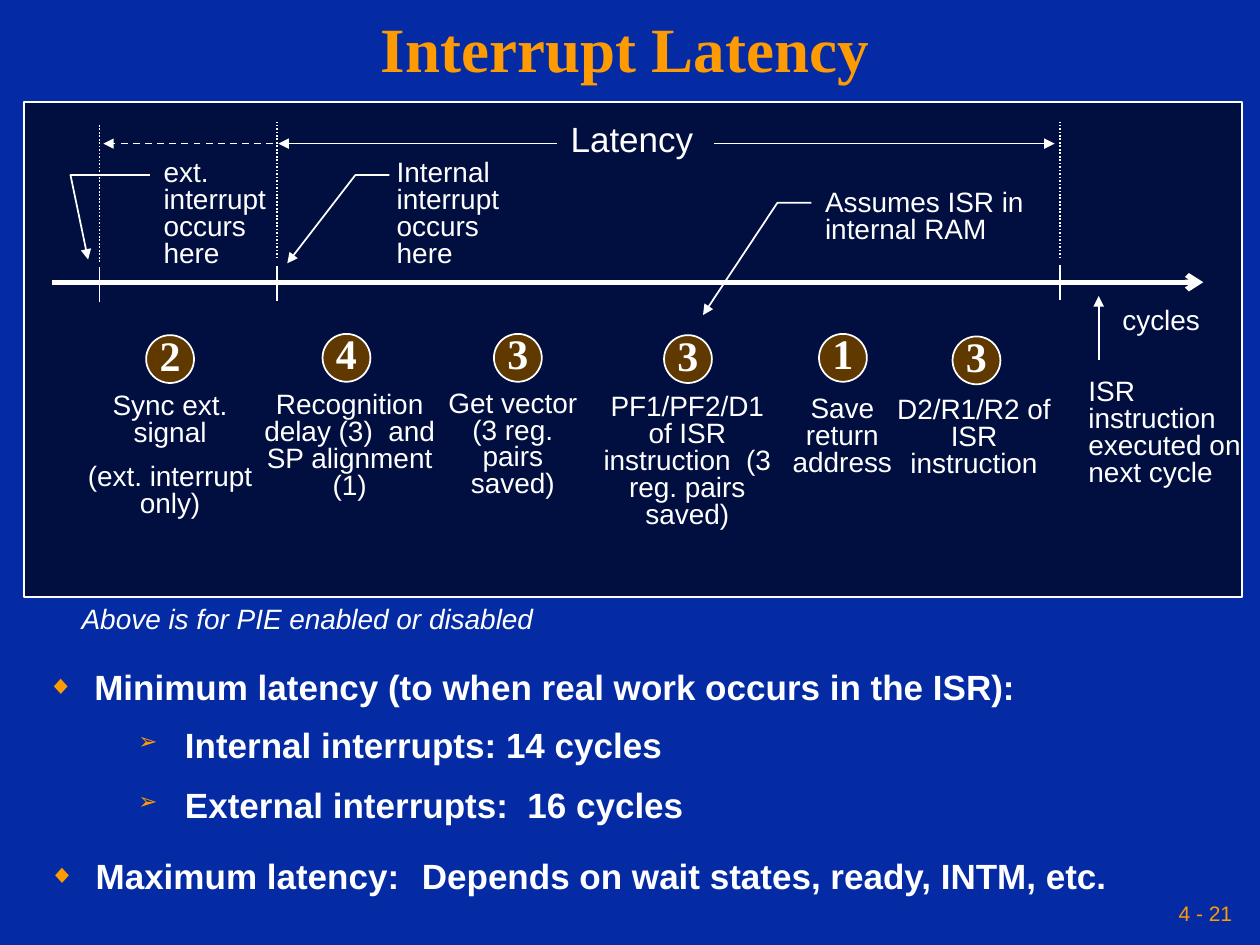
from dataclasses import dataclass

from lxml.etree import SubElement
from pptx import Presentation
from pptx.dml.color import RGBColor
from pptx.enum.dml import MSO_LINE
from pptx.enum.shapes import MSO_CONNECTOR, MSO_SHAPE
from pptx.enum.text import MSO_ANCHOR, MSO_AUTO_SIZE, PP_ALIGN
from pptx.oxml.ns import qn
from pptx.util import Inches, Pt

BLUE = "042AA4"
NAVY = "000F40"
BROWN = "603900"
GOLD = "FE9B03"
WHITE = "FFFFFF"
SANS = "Arial"
SERIF = "Times New Roman"


@dataclass
class Style:
    size: float = 16
    font: str = SANS
    color: str = WHITE
    bold: bool = False
    italic: bool = False
    align: PP_ALIGN = PP_ALIGN.LEFT
    space: float = 0.8


@dataclass
class Label:
    box: tuple
    text: str
    style: Style
    wrap: bool = True


@dataclass
class Step:
    count: str
    dot: tuple
    box: tuple
    lines: tuple


@dataclass
class Ray:
    start: tuple
    end: tuple
    width: float = 1
    tip: str = ""
    dash: MSO_LINE | None = None


@dataclass
class Bullet:
    box: tuple
    text: str
    mark: str
    percent: int
    space: float


NOTE = Style()
MID = Style(align=PP_ALIGN.CENTER)
BIG = Style(size=20)
COUNT = Style(24, SERIF, bold=True, align=PP_ALIGN.CENTER)
HEAD = Style(36, SERIF, GOLD, True, align=PP_ALIGN.CENTER, space=0.9)
PAGE = Style(12, color=GOLD, align=PP_ALIGN.RIGHT, space=1)
STRONG = Style(20, bold=True)

LABELS = [
    Label((4.43, 0.95, 1.22, 0.37), "Latency", BIG, False),
    Label((1.2, 1.23, 1.03, 0.96), "ext. interrupt occurs here", NOTE),
    Label((3.05, 1.23, 1.08, 0.96), "Internal interrupt occurs here", NOTE),
    Label((6.45, 1.47, 1.9, 0.53), "Assumes ISR in internal RAM", NOTE),
    Label((8.81, 2.4, 0.86, 0.32), "cycles", NOTE, False),
    Label((8.54, 2.97, 1.41, 0.96), "ISR instruction executed on next cycle", NOTE),
    Label((0.55, 4.78, 3.83, 0.32), "Above is for PIE enabled or disabled", Style(italic=True), False),
    Label((3.25, 6.8, 5.7, 0.37), "Depends on wait states, ready, INTM, etc.", STRONG, False),
]
STEPS = [
    Step("2", (1.16, 2.66), (0.57, 3.08, 1.56, 1.1), ("Sync ext. signal", "(ext. interrupt only)")),
    Step("4", (2.56, 2.65), (1.99, 3.07, 1.57, 0.96), ("Recognition delay (3)  and SP alignment (1)",)),
    Step("3", (3.92, 2.65), (3.43, 3.06, 1.28, 0.96), ("Get vector (3 reg. pairs saved)",)),
    Step("3", (5.27, 2.66), (4.69, 3.09, 1.53, 1.17), ("PF1/PF2/D1 of ISR instruction  (3 reg. pairs saved)",)),
    Step("1", (6.5, 2.65), (6.19, 3.1, 0.99, 0.74), ("Save return address",)),
    Step("3", (7.56, 2.67), (6.99, 3.11, 1.48, 0.74), ("D2/R1/R2 of ISR instruction",)),
]
RAYS = [
    Ray((0.41, 2.24), (9.55, 2.24), 3, "arrow"),
    Ray((4.42, 1.14), (2.21, 1.14), tip="triangle"),
    Ray((5.67, 1.14), (8.37, 1.14), tip="triangle"),
    Ray((2.17, 1.14), (0.82, 1.14), tip="triangle", dash=MSO_LINE.DASH),
    Ray((8.72, 2.86), (8.72, 2.35), tip="triangle"),
]
MARKS = [(0.79, 0.99, 2.08, 2.12), (2.2, 0.97, 2.05, 2.11), (8.41, 0.97, 2.05, 2.1)]
BENDS = [
    ((1.19, 1.39), (0.56, 1.39), (0.7, 2.06)),
    ((3.09, 1.39), (2.82, 1.39), (2.28, 2.09)),
    ((6.44, 1.61), (6.17, 1.61), (5.58, 2.5)),
]
BULLETS = [
    Bullet((0.28, 5.3, 8.04, 0.37), "Minimum latency (to when real work occurs in the ISR):", "◆", 75, 0.8),
    Bullet((1, 5.84, 4.36, 0.27), "Internal interrupts: 14 cycles", "➢", 65, 0.5),
    Bullet((1, 6.31, 4.53, 0.27), "External interrupts:  16 cycles", "➢", 65, 0.5),
    Bullet((0.29, 6.8, 2.98, 0.37), "Maximum latency:", "◆", 75, 0.8),
]


def paint(part, color: str) -> None:
    part.solid()
    part.fore_color.rgb = RGBColor.from_string(color)


def write(frame, lines: tuple, style: Style, wrap: bool = True, side: float = 0.1) -> None:
    frame.word_wrap = wrap
    frame.margin_left = frame.margin_right = Inches(side)
    frame.margin_top = frame.margin_bottom = Inches(0.05)
    for i, line in enumerate(lines):
        para = frame.add_paragraph() if i else frame.paragraphs[0]
        para.alignment = style.align
        para.line_spacing = style.space
        para.space_before = Pt(10 if i else 0)
        run = para.add_run()
        run.text = line
        font = run.font
        font.size, font.name = Pt(style.size), style.font
        font.bold, font.italic = style.bold, style.italic
        paint(font.fill, style.color)


def add_label(slide, label: Label, side: float = 0.1):
    box = slide.shapes.add_textbox(*map(Inches, label.box))
    write(box.text_frame, (label.text,), label.style, label.wrap, side)
    if not label.wrap:
        box.text_frame.auto_size = MSO_AUTO_SIZE.SHAPE_TO_FIT_TEXT
    return box


def add_block(slide, kind: MSO_SHAPE, box: tuple, color: str):
    block = slide.shapes.add_shape(kind, *map(Inches, box))
    block.shadow.inherit = False
    paint(block.fill, color)
    trace(block.line)
    return block


def trace(line, width: float = 1, tip: str = "", dash: MSO_LINE | None = None) -> None:
    paint(line.fill, WHITE)
    line.width = Pt(width)
    if dash:
        line.dash_style = dash
    if tip:
        SubElement(line.fill._xPr, qn("a:tailEnd"), type=tip)


def add_ray(slide, ray: Ray) -> None:
    ends = map(Inches, ray.start + ray.end)
    link = slide.shapes.add_connector(MSO_CONNECTOR.STRAIGHT, *ends)
    trace(link.line, ray.width, ray.tip, ray.dash)
    SubElement(link._element.spPr, qn("a:effectLst"))


def add_bend(slide, points: tuple) -> None:
    first, *rest = [tuple(map(Inches, point)) for point in points]
    build = slide.shapes.build_freeform(*first)
    build.add_line_segments(rest, close=False)
    bend = build.convert_to_shape()
    bend.shadow.inherit = False
    bend.fill.background()
    trace(bend.line, tip="triangle")


def add_step(slide, step: Step) -> None:
    dot = add_block(slide, MSO_SHAPE.OVAL, step.dot + (0.38, 0.38), BROWN)
    dot.text_frame.vertical_anchor = MSO_ANCHOR.MIDDLE
    write(dot.text_frame, (step.count,), COUNT, False)
    box = slide.shapes.add_textbox(*map(Inches, step.box))
    write(box.text_frame, step.lines, MID)


def add_bullet(slide, item: Bullet) -> None:
    style = Style(20, bold=True, space=item.space)
    box = add_label(slide, Label(item.box, item.text, style, False))
    props = box.text_frame.paragraphs[0]._p.get_or_add_pPr()
    props.set("marL", str(Inches(0.37)))
    props.set("indent", str(-Inches(0.37)))
    tint = SubElement(props, qn("a:buClr"))
    SubElement(tint, qn("a:srgbClr"), val=GOLD)
    SubElement(props, qn("a:buSzPct"), val=str(item.percent * 1000))
    SubElement(props, qn("a:buFont"), typeface=SANS)
    SubElement(props, qn("a:buChar"), char=item.mark)


def main() -> None:
    deck = Presentation()
    deck.slide_width, deck.slide_height = Inches(10), Inches(7.5)
    slide = deck.slides.add_slide(deck.slide_layouts[5])
    paint(slide.background.fill, BLUE)
    title = slide.shapes.title
    title.left, title.top, title.width, title.height = map(Inches, (0, 0, 9.92, 0.83))
    title.text_frame.vertical_anchor = MSO_ANCHOR.MIDDLE
    write(title.text_frame, ("Interrupt Latency",), HEAD, side=0.05)
    add_block(slide, MSO_SHAPE.RECTANGLE, (0.19, 0.81, 9.67, 3.93), NAVY)
    for x, top, base, tick in MARKS:
        add_ray(slide, Ray((x, base), (x, top), dash=MSO_LINE.ROUND_DOT))
        add_ray(slide, Ray((x, tick + 0.28), (x, tick)))
    for draw, items in (
        (add_ray, RAYS),
        (add_bend, BENDS),
        (add_step, STEPS),
        (add_label, LABELS),
        (add_bullet, BULLETS),
    ):
        for item in items:
            draw(slide, item)
    page = add_label(slide, Label((6.83, 7.08, 3, 0.33), "4 - 21", PAGE), 0.05)
    page.text_frame.vertical_anchor = MSO_ANCHOR.MIDDLE
    deck.save("out.pptx")


if __name__ == "__main__":
    main()
